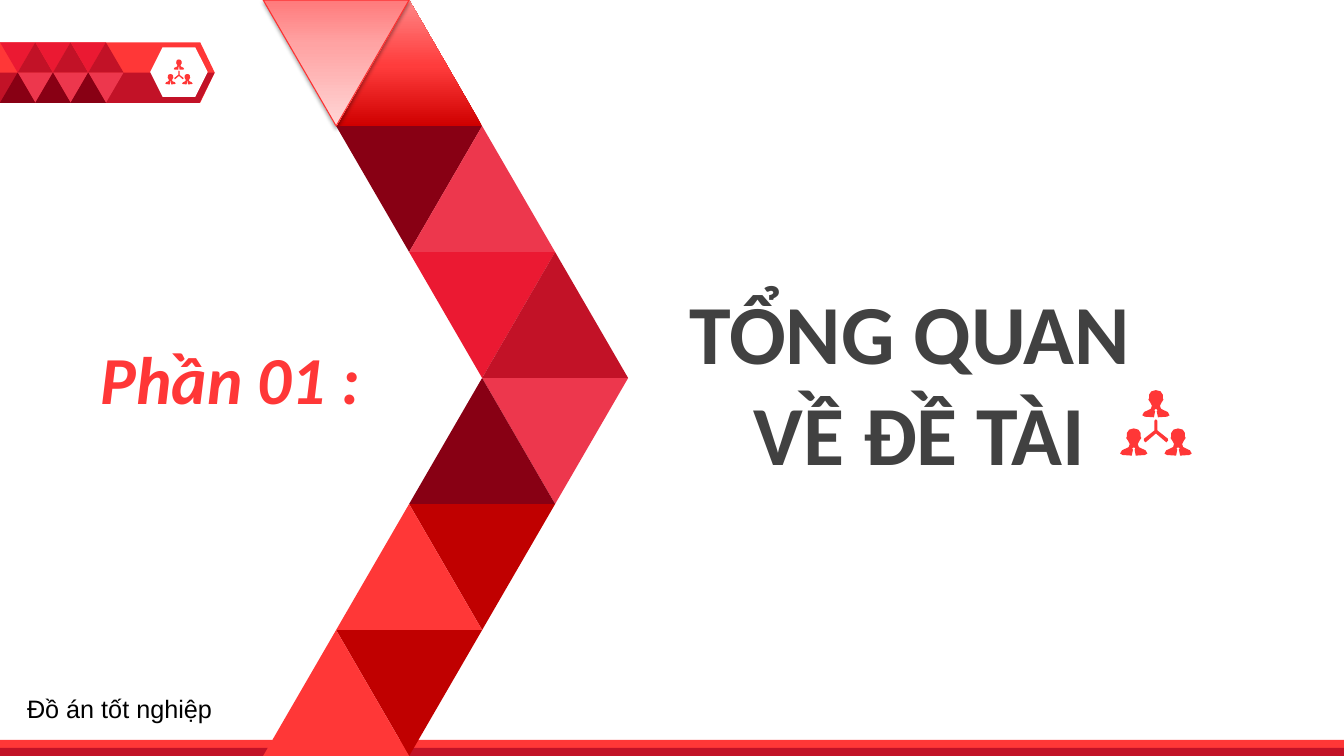
from lxml import etree
from pptx import Presentation
from pptx.dml.color import RGBColor
from pptx.enum.shapes import MSO_SHAPE
from pptx.enum.text import MSO_ANCHOR, MSO_AUTO_SIZE, PP_ALIGN
from pptx.oxml.ns import qn
from pptx.util import Inches, Pt

TRIANGLE, RECT = MSO_SHAPE.ISOSCELES_TRIANGLE, MSO_SHAPE.RECTANGLE
PENTAGON, HEXAGON = MSO_SHAPE.PENTAGON, MSO_SHAPE.HEXAGON
TOP, NO_FIT = MSO_ANCHOR.TOP, MSO_AUTO_SIZE.NONE
LEFT, CENTER = PP_ALIGN.LEFT, PP_ALIGN.CENTER

RED, CRIMSON, SCARLET = "FF3737", "C21227", "EB1932"
ROSE, MAROON, DARK_RED = "ED374D", "880014", "C00000"
WHITE, GREY, BLACK = "FFFFFF", "414141", "000000"
GLOW = [(0, "CF0000"), (48, "FF3C3C"), (100, "FF8787")]
BLUSH = [(0, "FF7A7B"), (35, "FFA3A3"), (100, "FFD6D6")]

# Chevron triangles: half-width column, row, points down, colour
CHEVRON = [
    (1, 0, False, RED), (0, 0, True, RED),
    (1, 1, True, MAROON), (2, 1, False, ROSE),
    (2, 2, True, SCARLET), (3, 2, False, CRIMSON),
    (3, 3, True, ROSE), (2, 3, False, MAROON),
    (2, 4, True, DARK_RED), (1, 4, False, RED),
    (1, 5, True, DARK_RED), (0, 5, False, RED),
]
PERSON = [(0, 0), (45, 12), (68, 45), (68, 80), (75, 95), (58, 120), (40, 155),
          (50, 185), (80, 200), (118, 218), (135, 250), (110, 264), (20, 270),
          (8, 210), (16, 200), (8, 190)]
BRANCHES = [(0, 290), (15, 305), (15, 400), (118, 482), (120, 500), (105, 518),
            (93, 510), (0, 430)]


def color(value):
    """Return the colour for a hex string."""
    return RGBColor.from_string(value)


def finish(sp, fill):
    """Give a shape a plain fill with no line or shadow."""
    sp.shadow.inherit = False
    sp.fill.solid()
    sp.fill.fore_color.rgb = color(fill)
    sp.line.fill.background()
    return sp


def add_shape(s, kind, x, y, w, h, fill):
    """Add a plain preset shape."""
    box = [Inches(v) for v in (x, y, w, h)]
    return finish(s.shapes.add_shape(kind, *box), fill)


def add_triangle(s, x, y, w, h, down, fill):
    """Add a triangle that points up or down."""
    sp = add_shape(s, TRIANGLE, x, y, w, h, fill)
    sp.rotation = 180 if down else 0
    return sp


def set_gradient(sp, stops):
    """Fill a shape with a vertical gradient, first stop at its base."""
    sp.fill.gradient()
    sp.fill.gradient_angle = 90
    gs_list = sp._element.spPr.find(".//" + qn("a:gsLst"))
    for gs in list(gs_list):
        gs_list.remove(gs)
    for position, value in stops:
        gs = etree.SubElement(gs_list, qn("a:gs"), pos=str(position * 1000))
        etree.SubElement(gs, qn("a:srgbClr"), val=value)


def set_shadow(sp):
    """Add a soft shadow that falls downwards."""
    effects = sp._element.spPr.find(qn("a:effectLst"))
    shadow = etree.SubElement(
        effects, qn("a:outerShdw"), blurRad=str(Pt(3.1)), dist=str(Pt(1.6)),
        dir="5400000", rotWithShape="0")
    clr = etree.SubElement(shadow, qn("a:srgbClr"), val=BLACK)
    etree.SubElement(clr, qn("a:alpha"), val="37000")


def add_network_icon(s, x, y, w):
    """Draw three linked people in a box of the given width."""
    parts = [(PERSON, 355, 0), (PERSON, 135, 380), (PERSON, 575, 380),
             (BRANCHES, 355, 0)]
    builder = None
    for half, cx, top in parts:
        mirrored = [(-dx, dy) for dx, dy in reversed(half[1:])]
        points = [(cx + dx, top + dy) for dx, dy in half + mirrored]
        if builder is None:
            builder = s.shapes.build_freeform(*points[0], scale=Inches(w) / 710)
        else:
            builder.move_to(*points[0])
        builder.add_line_segments(points[1:], close=True)
    finish(builder.convert_to_shape(Inches(x), Inches(y)), RED)


def add_header_tag(s, x, y, w, h):
    """Draw the small patterned tag with its icon."""
    half, step = h / 2, 0.35
    add_shape(s, PENTAGON, x, y, w, h, RED).adjustments[0] = 0.24
    builder = s.shapes.build_freeform(0, 0, scale=Inches(0.01))
    builder.add_line_segments(
        [(w * 100, 0), (w * 100 - 15, half * 100), (0, half * 100)], close=True)
    finish(builder.convert_to_shape(Inches(x), Inches(y + half)), CRIMSON)
    add_shape(s, HEXAGON, x + 1.49, y + 0.05, 0.57, 0.49, WHITE)
    add_network_icon(s, x + 1.64, y + 0.17, 0.27)
    for i in range(3):
        left = x + i * step
        mid = left + step / 2
        add_triangle(s, left, y, step, half, True, SCARLET)
        add_triangle(s, mid, y, step, half, False, CRIMSON)
        add_triangle(s, mid, y + half, step, half, True, ROSE)
        add_triangle(s, left, y + half, step, half, False, MAROON)


def add_footer_bar(s, x, y, w, h):
    """Draw the two-tone bar along the bottom."""
    add_shape(s, RECT, x, y, w, h, RED)
    add_shape(s, RECT, x, y + h / 2, w, h / 2, CRIMSON)


def add_chevron(s, x, y, w, h):
    """Draw the large chevron of triangles over six rows."""
    side, row_h = w / 2.5, h / 6
    triangles = [
        add_triangle(s, x + col * side / 2, y + row * row_h, side, row_h, down, fill)
        for col, row, down, fill in CHEVRON]
    set_gradient(triangles[0], GLOW)
    set_gradient(triangles[1], BLUSH)
    triangles[1].line.color.rgb = color("FD3030")
    triangles[1].line.width = Pt(0.75)
    set_shadow(triangles[1])


def write(sp, text, size, font, fill, bold=False, italic=False, align=LEFT):
    """Set and format the text of a shape."""
    tf = sp.text_frame
    tf.text = text
    tf.word_wrap = True
    tf.auto_size = NO_FIT
    tf.vertical_anchor = TOP
    for p in tf.paragraphs:
        p.alignment = align
        for r in p.runs:
            r.font.size, r.font.name = Pt(size), font
            r.font.bold, r.font.italic = bold, italic
            r.font.color.rgb = color(fill)


def add_text(s, x, y, w, h, *args, **style):
    """Add a text box."""
    box = [Inches(v) for v in (x, y, w, h)]
    write(s.shapes.add_textbox(*box), *args, **style)


def place_title(s, x, y, w, h, text):
    """Move and format the title placeholder."""
    sp = s.shapes.title
    sp.left, sp.top, sp.width, sp.height = [Inches(v) for v in (x, y, w, h)]
    write(sp, text, 60, "Calibri", GREY, bold=True, align=CENTER)


def build_section_slide(prs):
    """Build the section opening slide."""
    s = prs.slides.add_slide(prs.slide_layouts[5])
    add_header_tag(s, 0, 0.42, 2.13, 0.6)
    add_footer_bar(s, 0, 7.34, 13.33, 0.16)
    add_chevron(s, 2.61, 0, 3.62, 7.5)
    add_text(s, 0.9, 3.3, 4.12, 0.9, "Phần 01 :", 48, "Calibri", RED,
             bold=True, italic=True)
    place_title(s, 6.42, 2.73, 5.4, 2.12, "TỔNG QUAN \nVỀ ĐỀ TÀI")
    add_network_icon(s, 11.11, 3.87, 0.71)
    add_text(s, 0.17, 6.83, 2.83, 0.4, "Đồ án tốt nghiệp", 18, "Arial", BLACK)


def main():
    """Create and save the presentation."""
    prs = Presentation()
    prs.slide_width, prs.slide_height = Inches(13.33), Inches(7.5)
    build_section_slide(prs)
    prs.save("out.pptx")


if __name__ == "__main__":
    main()
